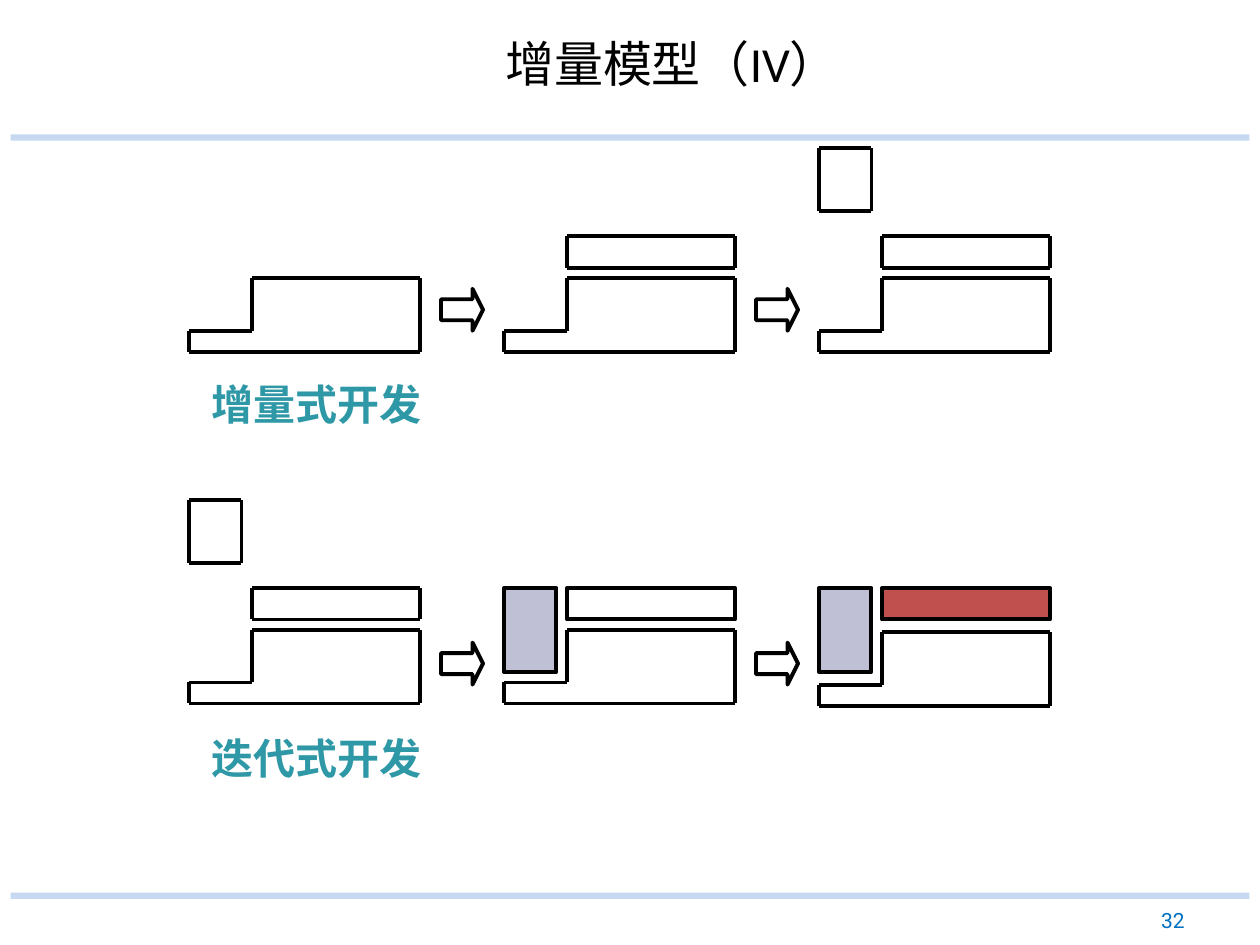
from lxml import etree
from pptx import Presentation
from pptx.dml.color import RGBColor
from pptx.enum.shapes import MSO_CONNECTOR, MSO_SHAPE
from pptx.enum.text import MSO_ANCHOR, PP_ALIGN
from pptx.oxml.ns import qn
from pptx.util import Inches, Pt

STRAIGHT = MSO_CONNECTOR.STRAIGHT
RECTANGLE, RIGHT_ARROW = MSO_SHAPE.RECTANGLE, MSO_SHAPE.RIGHT_ARROW
TOP, MIDDLE = MSO_ANCHOR.TOP, MSO_ANCHOR.MIDDLE
LEFT, CENTER, RIGHT = PP_ALIGN.LEFT, PP_ALIGN.CENTER, PP_ALIGN.RIGHT

COLORS = {
    "ink": "000000",
    "bar": "C6D9F1",
    "number": "0070C0",
    "label": "2E98A6",
    "block": "BFBFD5",
    "changed": "C0504D",
}
CELL = 1 / 12
STAGE_STEP = 30
BLOCK_SIZE = (5, 6)
TALL_BLOCK_SIZE = (5, 8)
BRICK_SIZE = (16, 3)

INCREMENTAL = [
    {},
    {"brick": "outline"},
    {"loose": True, "brick": "outline"},
]
ITERATIVE = [
    {"loose": True, "brick": "outline"},
    {"block": "block", "brick": "hollow"},
    {"block": "block", "brick": "changed", "base_drop": 0.2},
]


def cells(*counts):
    return [Inches(count * CELL) for count in counts]


def color(name):
    return RGBColor.from_string(COLORS[name])


def write_text(shape, text, size, font, ink, align=LEFT, anchor=TOP, bold=False):
    frame = shape.text_frame
    frame.word_wrap = True
    frame.vertical_anchor = anchor
    paragraph = frame.paragraphs[0]
    paragraph.text = text
    paragraph.alignment = align
    paragraph.font.size = Pt(size)
    paragraph.font.name = font
    paragraph.font.bold = bold
    paragraph.font.color.rgb = color(ink)


def add_figure(shapes, kind, box, fill=None, outlined=True):
    shape = shapes.add_shape(kind, *cells(*box))
    shape.shadow.inherit = False
    if fill:
        shape.fill.solid()
        shape.fill.fore_color.rgb = color(fill)
    else:
        shape.fill.background()
    if outlined:
        shape.line.color.rgb = color("ink")
        shape.line.width = Pt(2.25)
    else:
        shape.line.fill.background()
    return shape


def add_outline(shapes, points):
    for start, end in zip(points, points[1:] + points[:1]):
        connector = shapes.add_connector(STRAIGHT, *cells(*start, *end))
        connector.line.color.rgb = color("ink")
        connector.line.width = Pt(2.25)
        etree.SubElement(connector._element.spPr, qn("a:effectLst"))


def add_box_outline(shapes, left, top, width, height):
    right, bottom = left + width, top + height
    add_outline(shapes, [(left, top), (right, top), (right, bottom), (left, bottom)])


def add_base(shapes, left, top):
    right, bottom, step, ledge = left + 22, top + 7, left + 6, top + 5
    add_outline(shapes, [(left, bottom), (right, bottom), (right, top),
                         (step, top), (step, ledge), (left, ledge)])


def add_stage(shapes, left, top, loose=False, block=None, brick=None, base_drop=0):
    brick_top = top + 8.4
    if loose:
        add_box_outline(shapes, left, top, *BLOCK_SIZE)
    if block:
        add_figure(shapes, RECTANGLE, (left, brick_top, *TALL_BLOCK_SIZE), block)
    brick_box = (left + 6, brick_top, *BRICK_SIZE)
    if brick == "outline":
        add_box_outline(shapes, *brick_box)
    elif brick:
        add_figure(shapes, RECTANGLE, brick_box, COLORS.get(brick) and brick)
    add_base(shapes, left, top + 12.4 + base_drop)


def add_process(slide, left, top, label, stages, drop=0):
    shapes = slide.shapes.add_group_shape().shapes
    for index, stage in enumerate(stages):
        stage_left = left + index * STAGE_STEP
        add_stage(shapes, stage_left, top, **stage)
        if index < len(stages) - 1:
            arrow = add_figure(shapes, RIGHT_ARROW, (stage_left + 24, top + 13.4 + drop, 4, 4))
            arrow.adjustments[0], arrow.adjustments[1] = 0.5, 0.25
    caption = shapes.add_textbox(*cells(left + 1, top + 21.4 + drop, 44, 4.8))
    write_text(caption, label, 24, "Roboto", "label", bold=True)


def add_frame(slide, title, number):
    for top in (12.8, 85):
        add_figure(slide.shapes, RECTANGLE, (1, top, 118, 0.6), "bar", outlined=False)
    heading = slide.shapes.title
    heading.left, heading.top, heading.width, heading.height = cells(31, 1, 66, 10)
    write_text(heading, title, 28, "Calibri", "ink", CENTER, MIDDLE)
    page = slide.shapes.add_textbox(*cells(86, 86.2, 28, 2.8))
    write_text(page, number, 12, "Roboto", "number", RIGHT, MIDDLE)


def main():
    presentation = Presentation()
    presentation.slide_width, presentation.slide_height = cells(120, 90)
    slide = presentation.slides.add_slide(presentation.slide_layouts[5])
    add_frame(slide, "增量模型（IV）", "32")
    add_process(slide, 18, 14.1, "增量式开发", INCREMENTAL)
    add_process(slide, 18, 47.6, "迭代式开发", ITERATIVE, drop=0.2)
    presentation.save("out.pptx")


if __name__ == "__main__":
    main()
